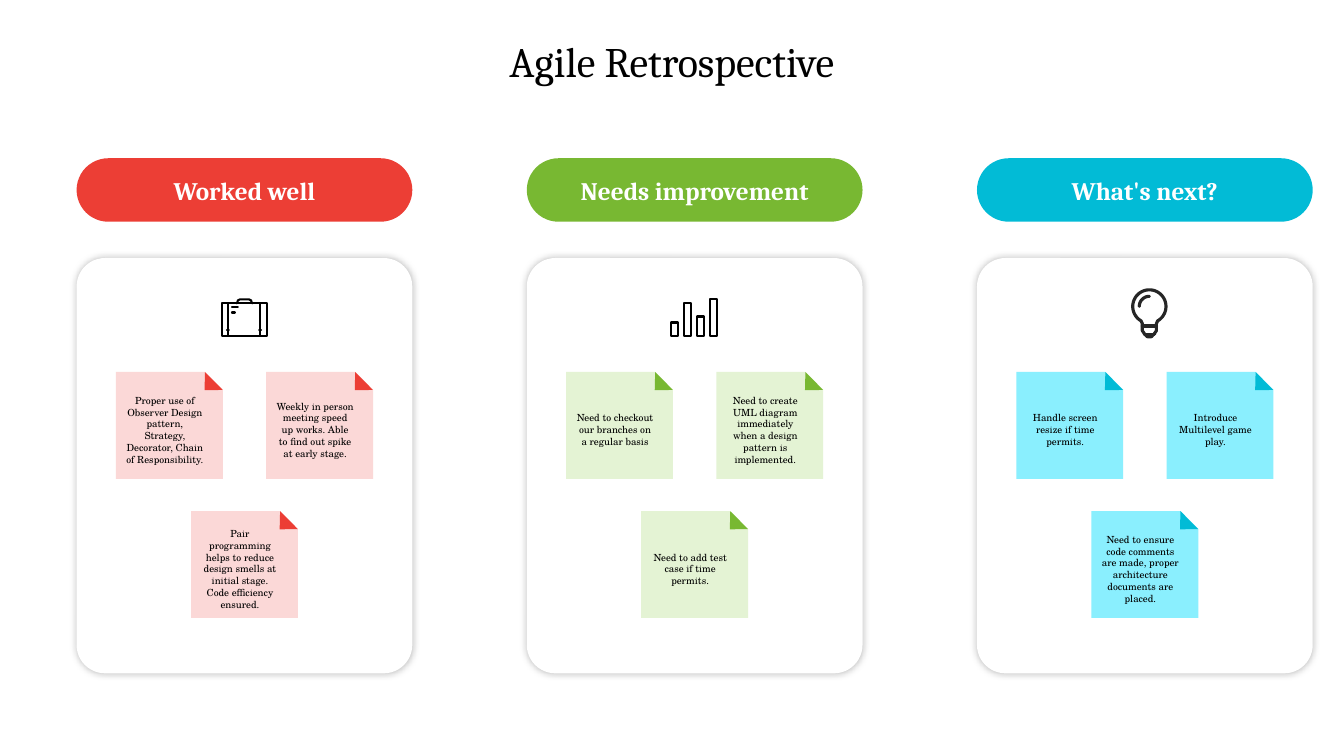
import math
import pptx
import pptx.util
import pptx.dml.color
import pptx.enum.shapes
import pptx.enum.text
import pptx.oxml
import pptx.oxml.ns

TITLE = "Agile Retrospective"
LANES = [
    ("Worked well", "EC3E35", "FBD8D7", "case", [
        "Proper use of Observer Design pattern, Strategy, Decorator, Chain of Responsibility.",
        "Weekly in person meeting speed up works. Able to find out spike at early stage.",
        "Pair programming helps to reduce design smells at initial stage. Code efficiency ensured."]),
    ("Needs improvement", "78B832", "E4F3D4", "bars", [
        "Need to checkout our branches on a regular basis",
        "Need to create UML diagram immediately when a design pattern is implemented.",
        "Need to add test case if time permits."]),
    ("What's next?", "02BBD6", "8AEFFE", "bulb", [
        "Handle screen resize if time permits.",
        "Introduce Multilevel game play.",
        "Need to ensure code comments are made, proper architecture documents are placed."]),
]
THEME = {
    "title": {"size": pptx.util.Pt(30), "name": "Cambria", "bold": False, "color": "000000"},
    "head": {"size": pptx.util.Pt(18), "name": "Cambria", "bold": True, "color": "FFFFFF"},
    "note": {"size": pptx.util.Pt(7), "name": "TeX Gyre Schola", "bold": False, "color": "000000"},
    "card": "FFFFFF",
    "ink": {"case": ("000000", 1.5), "bars": ("000000", 1.5), "bulb": ("262626", 2.25)},
}
LEFT, PITCH, WIDE = 0.76, 4.465, 3.33
NOTE = 1.06
SPOTS = [(0.39, 3.69), (1.88, 3.69), (1.135, 5.07)]
KIND = pptx.enum.shapes.MSO_SHAPE
Inches = pptx.util.Inches


def rgb(code):
    return pptx.dml.color.RGBColor.from_string(code)


def box(x, y, w, h):
    return [(x, y), (x + w, y), (x + w, y + h), (x, y + h), (x, y)]


def arc(r, start, end):
    turns = [math.radians(a) for a in range(start, end + 1, 6)]
    return [(1.71 + r * math.cos(a), 3.04 + r * math.sin(a)) for a in turns]


ICONS = {
    "case": [box(1.44, 3.01, 0.45, 0.32)]
    + [[(x, 3.01), (x, 3.33)] for x in (1.5, 1.82)]
    + [[(x - 0.01, 3.27), (x + 0.01, 3.27)] for x in (1.5, 1.82)]
    + [[(1.54, y), (x, y)] for x, y in ((1.6, 3.05), (1.57, 3.1))]
    + [[(1.59, 3.01), (1.6, 2.98), (1.62, 2.97), (1.71, 2.97), (1.73, 2.98), (1.74, 3.01)]],
    "bars": [box(1.43 + 0.13 * i, top, 0.07, 3.33 - top)
             for i, top in enumerate((3.2, 3.01, 3.14, 2.97))],
    "bulb": [
        [(1.64, 3.21)] + arc(0.165, 120, 420)
        + [(1.78, 3.21), (1.78, 3.28), (1.76, 3.31), (1.73, 3.34),
           (1.69, 3.34), (1.66, 3.31), (1.64, 3.28), (1.64, 3.21)],
        [(1.64, 3.235), (1.78, 3.235)],
        [(1.66, 3.315), (1.76, 3.315)],
        arc(0.1, 180, 270)],
}


def write(shape, text, style):
    frame = shape.text_frame
    frame.text = text
    for name, value in {"word_wrap": True, "auto_size": pptx.enum.text.MSO_AUTO_SIZE.NONE,
                        "vertical_anchor": pptx.enum.text.MSO_ANCHOR.MIDDLE}.items():
        setattr(frame, name, value)
    para = frame.paragraphs[0]
    para.alignment = pptx.enum.text.PP_ALIGN.CENTER
    font = para.runs[0].font
    for name, value in THEME[style].items():
        if name == "color":
            font.color.rgb = rgb(value)
        else:
            setattr(font, name, value)


def block(kind, place, fill):
    shape = slide.shapes.add_shape(kind, *map(Inches, place))
    shape.shadow.inherit = False
    shape.fill.solid()
    shape.fill.fore_color.rgb = rgb(fill)
    shape.line.fill.background()
    return shape


def glow(shape):
    effect = shape.element.spPr.find(pptx.oxml.ns.qn("a:effectLst"))
    effect.append(pptx.oxml.parse_xml(
        '<a:outerShdw %s blurRad="63500" dist="0" dir="0" algn="ctr" rotWithShape="0">'
        '<a:srgbClr val="000000"><a:alpha val="26000"/></a:srgbClr></a:outerShdw>'
        % pptx.oxml.ns.nsdecls("a")))


def draw(icon, left):
    tint, width = THEME["ink"][icon]
    group = slide.shapes.add_group_shape().shapes
    for line in ICONS[icon]:
        dots = [(Inches(left + x), Inches(y)) for x, y in line]
        if len(dots) == 2:
            part = group.add_connector(
                pptx.enum.shapes.MSO_CONNECTOR.STRAIGHT, *dots[0], *dots[1])
        else:
            pen = group.build_freeform(*dots[0], scale=1.0)
            pen.add_line_segments(dots[1:], close=dots[0] == dots[-1])
            part = pen.convert_to_shape()
            part.fill.background()
        part.line.color.rgb = rgb(tint)
        part.line.width = pptx.util.Pt(width)
        props = part.element.spPr
        props.find(pptx.oxml.ns.qn("a:ln")).set("cap", "rnd")
        props.append(pptx.oxml.parse_xml("<a:effectLst %s/>" % pptx.oxml.ns.nsdecls("a")))


deck = pptx.Presentation()
deck.slide_width, deck.slide_height = Inches(13.33), Inches(7.5)
slide = deck.slides.add_slide(deck.slide_layouts[5])
title = slide.shapes.title
for side, value in {"left": 0, "top": 0.3, "width": 13.33, "height": 0.61}.items():
    setattr(title, side, Inches(value))
write(title, TITLE, "title")

for i, (head, dark, pale, icon, notes) in enumerate(LANES):
    left = LEFT + i * PITCH
    pill = block(KIND.ROUNDED_RECTANGLE, (left, 1.57, WIDE, 0.63), dark)
    pill.adjustments[0] = 0.5
    write(pill, head, "head")
    card = block(KIND.ROUNDED_RECTANGLE, (left, 2.56, WIDE, 4.12), THEME["card"])
    card.adjustments[0] = 0.085
    glow(card)
    for text, (dx, y) in zip(notes, SPOTS):
        x = left + dx
        write(block(KIND.SNIP_1_RECTANGLE, (x, y, NOTE, NOTE), pale), text, "note")
        fold = block(KIND.ISOSCELES_TRIANGLE, (x + 0.8, y + 0.07, 0.25, 0.13), dark)
        fold.rotation = 225.4
    draw(icon, left)

deck.save("out.pptx")
